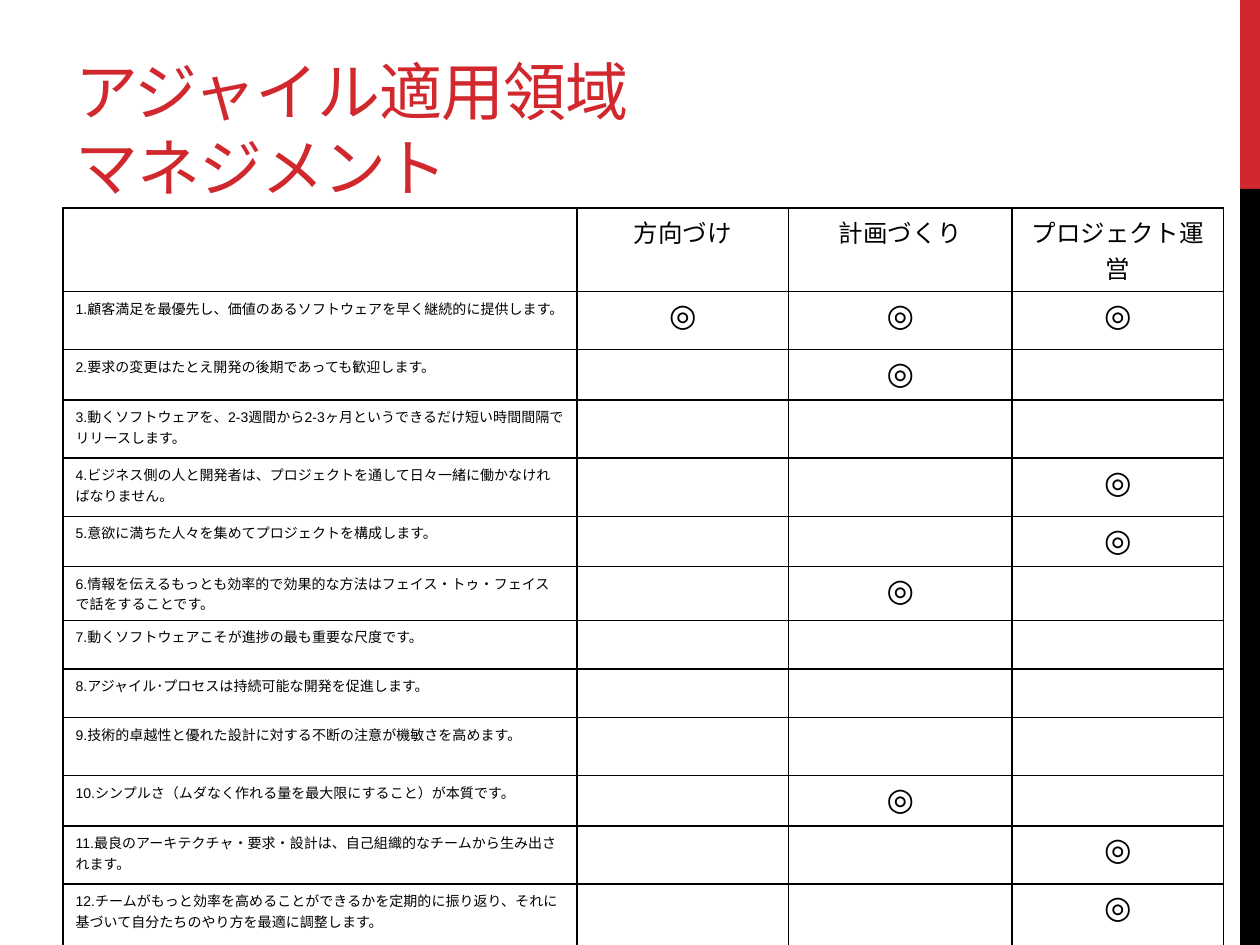
from lxml import etree
from pptx import Presentation
from pptx.dml.color import RGBColor
from pptx.enum.shapes import MSO_SHAPE
from pptx.enum.text import MSO_ANCHOR, PP_ALIGN
from pptx.oxml.ns import qn
from pptx.util import Cm, Pt

RECTANGLE = MSO_SHAPE.RECTANGLE
BOTTOM = MSO_ANCHOR.BOTTOM
CENTER, LEFT = PP_ALIGN.CENTER, PP_ALIGN.LEFT
COLORS = {"red": "D1282E", "black": "000000"}

HEADERS = ["", "方向づけ", "計画づくり", "プロジェクト運営"]
# Each principle with the columns it is marked in
PRINCIPLES = [
    ("顧客満足を最優先し、価値のあるソフトウェアを早く継続的に提供します。", (1, 2, 3)),
    ("要求の変更はたとえ開発の後期であっても歓迎します。", (2,)),
    ("動くソフトウェアを、2-3週間から2-3ヶ月というできるだけ短い時間間隔でリリースします。", ()),
    ("ビジネス側の人と開発者は、プロジェクトを通して日々一緒に働かなければなりません。", (3,)),
    ("意欲に満ちた人々を集めてプロジェクトを構成します。", (3,)),
    ("情報を伝えるもっとも効率的で効果的な方法はフェイス•トゥ•フェイスで話をすることです。", (2,)),
    ("動くソフトウェアこそが進捗の最も重要な尺度です。", ()),
    ("アジャイル･プロセスは持続可能な開発を促進します。", ()),
    ("技術的卓越性と優れた設計に対する不断の注意が機敏さを高めます。", ()),
    ("シンプルさ（ムダなく作れる量を最大限にすること）が本質です。", (2,)),
    ("最良のアーキテクチャ•要求•設計は、自己組織的なチームから生み出されます。", (3,)),
    ("チームがもっと効率を高めることができるかを定期的に振り返り、"
     "それに基づいて自分たちのやり方を最適に調整します。", (3,)),
]
COLUMN_WIDTHS = [10.36, 4.27, 4.5, 4.27]
ROW_HEIGHTS = [1.69, 1.17, 0.98, 1.17, 1.17, 0.98, 1.08, 0.98, 0.98, 1.17, 0.98, 1.17, 1.47]


def add_run(paragraph, text, size, font, color):
    run = paragraph.add_run()
    run.text = text
    run.font.size = Pt(size)
    run.font.name = font
    run.font.bold = False
    run.font.color.rgb = RGBColor.from_string(COLORS[color])
    return run


def add_borders(cell):
    properties = cell._tc.get_or_add_tcPr()
    for index, side in enumerate(("a:lnL", "a:lnR", "a:lnT", "a:lnB")):
        line = etree.Element(qn(side), w=str(Pt(1)))
        fill = etree.SubElement(line, qn("a:solidFill"))
        etree.SubElement(fill, qn("a:srgbClr"), val=COLORS["black"])
        properties.insert(index, line)


presentation = Presentation()
presentation.slide_width = Cm(25.4)
presentation.slide_height = Cm(19.05)
slide = presentation.slides.add_slide(presentation.slide_layouts[6])

# Side bar
for top, height, color in ((0, 3.81, "red"), (3.81, 15.24, "black")):
    bar = slide.shapes.add_shape(RECTANGLE, Cm(25), Cm(top), Cm(0.4), Cm(height))
    bar.shadow.inherit = False
    bar.fill.solid()
    bar.fill.fore_color.rgb = RGBColor.from_string(COLORS[color])
    bar.line.fill.background()

# Title
title = slide.shapes.add_textbox(Cm(1.27), Cm(0.43), Cm(16.08), Cm(3.81))
title.text_frame.word_wrap = True
title.text_frame.vertical_anchor = BOTTOM
paragraph = title.text_frame.paragraphs[0]
for index, text in enumerate(("アジャイル適用領域", "マネジメント")):
    if index:
        paragraph.add_line_break()
    run = add_run(paragraph, text, 36, "Montserrat", "red")
    run.font._element.set("spc", "-60")

# Table of principles against management areas
rows = [HEADERS]
for number, (principle, marked) in enumerate(PRINCIPLES, start=1):
    marks = ["◎" if column in marked else "" for column in (1, 2, 3)]
    rows.append([f"{number}.{principle}", *marks])

table = slide.shapes.add_table(
    len(rows), len(HEADERS), Cm(1.27), Cm(4.19), Cm(sum(COLUMN_WIDTHS)), Cm(sum(ROW_HEIGHTS))
).table
table.first_row = False
table.horz_banding = False
for column, width in zip(table.columns, COLUMN_WIDTHS):
    column.width = Cm(width)
for row, height in zip(table.rows, ROW_HEIGHTS):
    row.height = Cm(height)

for row_index, row in enumerate(rows):
    for column_index, text in enumerate(row):
        cell = table.cell(row_index, column_index)
        cell.fill.background()
        add_borders(cell)
        paragraph = cell.text_frame.paragraphs[0]
        if not text:
            # Keeps an empty cell from stretching its row
            etree.SubElement(paragraph._p, qn("a:endParaRPr"), sz="1400")
            continue
        size = 14 if row_index == 0 else 8 if column_index == 0 else 18
        paragraph.alignment = CENTER if column_index else LEFT
        add_run(paragraph, text, size, "Arial", "black")

presentation.save("out.pptx")
